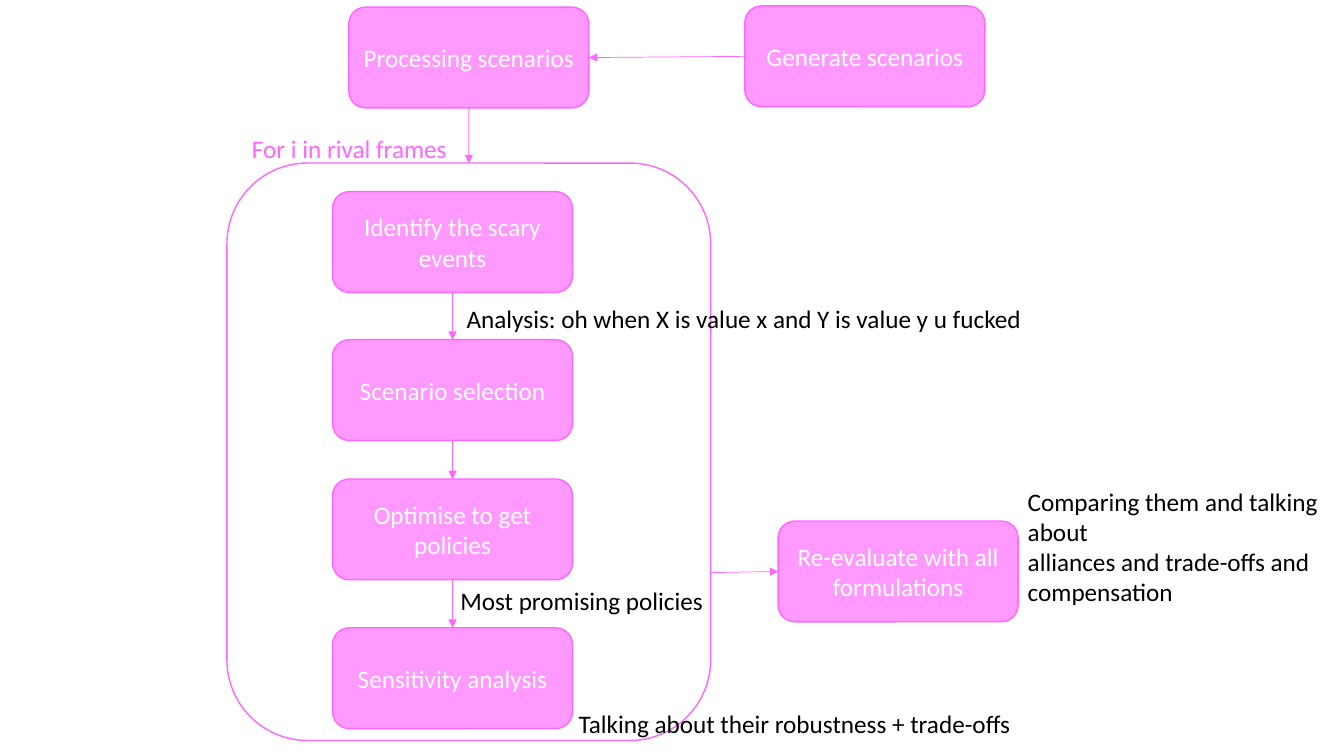
from dataclasses import dataclass

from lxml.etree import SubElement
from pptx import Presentation
from pptx.dml.color import RGBColor
from pptx.enum.shapes import MSO_CONNECTOR, MSO_SHAPE
from pptx.enum.text import MSO_ANCHOR, PP_ALIGN
from pptx.oxml.ns import qn
from pptx.util import Cm, Pt


@dataclass(frozen=True)
class Theme:
    fill: RGBColor = RGBColor(0xFF, 0x99, 0xFF)
    accent: RGBColor = RGBColor(0xFF, 0x66, 0xFF)
    white: RGBColor = RGBColor(0xFF, 0xFF, 0xFF)
    black: RGBColor = RGBColor(0, 0, 0)
    font: str = "Calibri"
    size: Pt = Pt(18)


theme = Theme()
TOP, LEFT, BOTTOM, RIGHT = range(4)  # connection sites of a rounded rectangle

deck = Presentation()
deck.slide_width, deck.slide_height = Cm(33.87), Cm(19.05)
page = deck.slides.add_slide(deck.slide_layouts[6])


def add_rounded(left, top, width, height):
    box = page.shapes.add_shape(
        MSO_SHAPE.ROUNDED_RECTANGLE, Cm(left), Cm(top), Cm(width), Cm(height))
    box.shadow.inherit = False
    box.line.color.rgb = theme.accent
    box.line.width = Pt(1)
    return box


def set_text(shape, text, color, align):
    shape.text_frame.text = text
    for para in shape.text_frame.paragraphs:
        para.alignment = align
        para.font.name = theme.font
        para.font.size = theme.size
        para.font.color.rgb = color


# Frame around the steps repeated for each rival frame
loop = add_rounded(5.72, 4.11, 12.19, 14.55)
loop.fill.background()

# Process steps
steps = {}
for name, left, top, text in [
    ("generate", 18.77, 0.15, "Generate scenarios"),
    ("process", 8.79, 0.18, "Processing scenarios"),
    ("identify", 8.38, 4.83, "Identify the scary events"),
    ("select", 8.38, 8.56, "Scenario selection"),
    ("optimise", 8.38, 12.07, "Optimise to get policies"),
    ("sensitivity", 8.38, 15.82, "Sensitivity analysis"),
    ("evaluate", 19.61, 13.13, "Re-evaluate with all formulations"),
]:
    box = add_rounded(left, top, 6.05, 2.54)
    box.fill.solid()
    box.fill.fore_color.rgb = theme.fill
    box.text_frame.word_wrap = True
    box.text_frame.vertical_anchor = MSO_ANCHOR.MIDDLE
    set_text(box, text, theme.white, PP_ALIGN.CENTER)
    steps[name] = box

# Arrows; the one leaving the loop starts low on its right edge
for source, source_site, target, target_site in [
    (steps["generate"], LEFT, steps["process"], RIGHT),
    (steps["process"], BOTTOM, loop, TOP),
    (steps["identify"], BOTTOM, steps["select"], TOP),
    (steps["select"], BOTTOM, steps["optimise"], TOP),
    (steps["optimise"], BOTTOM, steps["sensitivity"], TOP),
    (None, None, steps["evaluate"], LEFT),
]:
    arrow = page.shapes.add_connector(
        MSO_CONNECTOR.STRAIGHT, Cm(17.91), Cm(14.43), Cm(19.61), Cm(14.4))
    if source:
        arrow.begin_connect(source, source_site)
    arrow.end_connect(target, target_site)
    arrow.line.color.rgb = theme.accent
    arrow.line.width = Pt(0.5)
    SubElement(arrow.line._get_or_add_ln(), qn("a:tailEnd"), type="triangle")
    SubElement(arrow._element.spPr, qn("a:effectLst"))

# Labels and remarks
for left, top, width, height, wraps, color, text in [
    (6.1, 3.23, 5.49, 1.02, False, theme.accent, "For i in rival frames"),
    (11.51, 7.52, 14.66, 1.02, False, theme.black,
     "Analysis: oh when X is value x and Y is value y u fucked"),
    (11.35, 14.63, 6.71, 1.02, False, theme.black, "Most promising policies"),
    (14.33, 17.73, 11.53, 1.02, False, theme.black,
     "Talking about their robustness + trade-offs"),
    (25.65, 12.12, 7.98, 3.33, True, theme.black,
     "Comparing them and talking about\n"
     "alliances and trade-offs and compensation"),
]:
    label = page.shapes.add_textbox(Cm(left), Cm(top), Cm(width), Cm(height))
    label.text_frame.word_wrap = wraps
    set_text(label, text, color, PP_ALIGN.LEFT)

deck.save("out.pptx")
